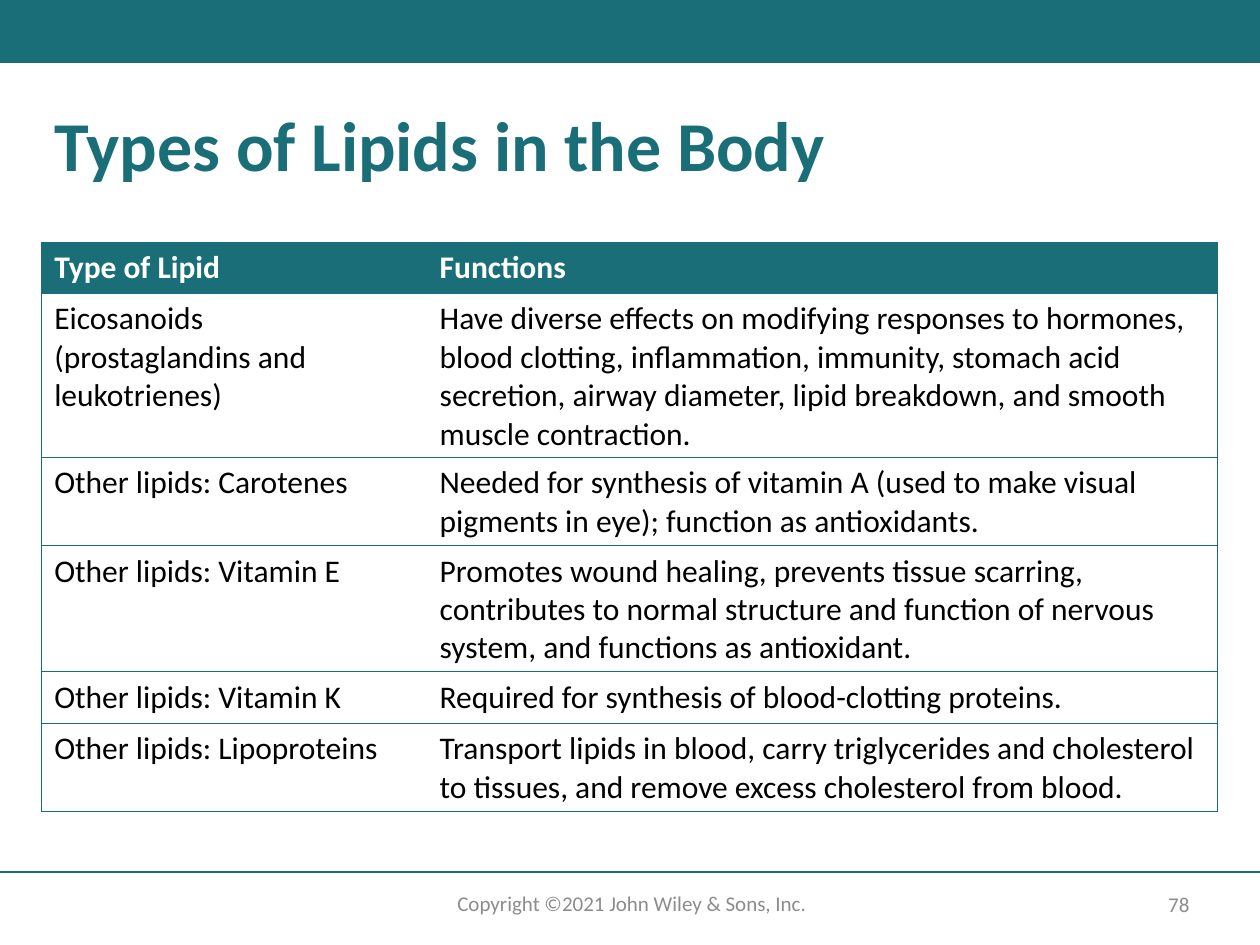
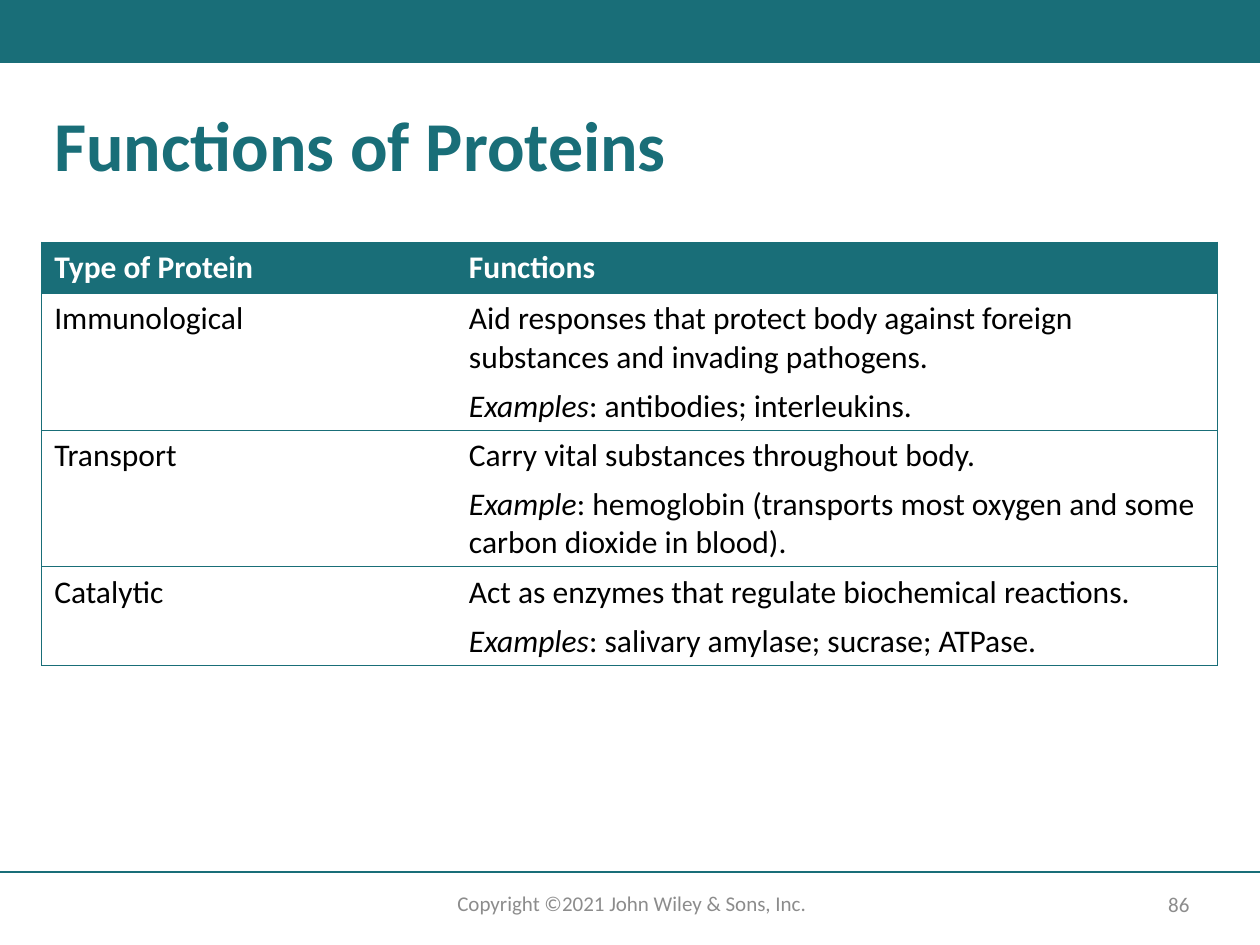
from lxml import etree
from pptx import Presentation
from pptx.dml.color import RGBColor
from pptx.enum import shapes, text
from pptx.oxml import ns
from pptx.util import Cm, Pt

COLORS = {"teal": "196E78", "white": "FFFFFF", "black": "000000", "grey": "8C8C8C"}
FONT = "Calibri"
PAGE_WIDTH, PAGE_HEIGHT = Cm(25.4), Cm(19.05)
CONTENT_LEFT, CONTENT_WIDTH = Cm(0.84), Cm(23.7)
PLAIN_TABLE = "{2D5ABB26-0587-4C30-8999-92F81FD0307C}"

LIPIDS = [
    (["Type of Lipid"], ["Functions"]),
    (["Eicosanoids", "(prostaglandins and leukotrienes)"],
     ["Have diverse effects on modifying responses to hormones, blood clotting, "
      "inflammation, immunity, stomach acid secretion, airway diameter, lipid "
      "breakdown, and smooth muscle contraction."]),
    (["Other lipids: Carotenes"],
     ["Needed for synthesis of vitamin A (used to make visual pigments in eye); "
      "function as antioxidants."]),
    (["Other lipids: Vitamin E"],
     ["Promotes wound healing, prevents tissue scarring, contributes to normal "
      "structure and function of nervous system, and functions as antioxidant."]),
    (["Other lipids: Vitamin K"],
     ["Required for synthesis of blood-clotting proteins."]),
    (["Other lipids: Lipoproteins"],
     ["Transport lipids in blood, carry triglycerides and cholesterol to tissues, "
      "and remove excess cholesterol from blood."]),
]

# Asterisks enclose italic words
PROTEINS = [
    (["Type of Protein"], ["Functions"]),
    (["Immunological"],
     ["Aid responses that protect body against foreign substances and invading pathogens.",
      "*Examples*: antibodies; interleukins."]),
    (["Transport"],
     ["Carry vital substances throughout body.",
      "*Example*: hemoglobin (transports most oxygen and some carbon dioxide in blood)."]),
    (["Catalytic"],
     ["Act as enzymes that regulate biochemical reactions.",
      "*Examples*: salivary amylase; sucrase; ATPase."]),
]


def rgb(name):
    return RGBColor.from_string(COLORS[name])


def write(frame, lines, size=18, color="black", bold=False, align="LEFT",
          anchor="TOP", line_spacing=None, space_after=0):
    """Fill a text frame or a cell's text frame with formatted paragraphs."""
    frame.word_wrap = True
    frame.vertical_anchor = getattr(text.MSO_ANCHOR, anchor)
    for i, line in enumerate(lines):
        paragraph = frame.add_paragraph() if i else frame.paragraphs[0]
        paragraph.alignment = getattr(text.PP_ALIGN, align)
        paragraph.space_after = Pt(space_after)
        if line_spacing:
            paragraph.line_spacing = line_spacing
        for j, part in enumerate(line.split("*")):
            if part:
                run = paragraph.add_run()
                run.text = part
                run.font.name, run.font.size = FONT, Pt(size)
                run.font.bold, run.font.italic = bold, j % 2 == 1
                run.font.color.rgb = rgb(color)


def add_band(slide):
    band = slide.shapes.add_shape(shapes.MSO_SHAPE.RECTANGLE, 0, 0, PAGE_WIDTH, Cm(1.27))
    band.shadow.inherit = False
    band.fill.solid()
    band.fill.fore_color.rgb = rgb("teal")
    band.line.fill.background()


def add_footer(slide, page):
    rule_y = Cm(17.58)
    rule = slide.shapes.add_connector(shapes.MSO_CONNECTOR.STRAIGHT,
                                      0, rule_y, PAGE_WIDTH, rule_y)
    rule.line.color.rgb = rgb("teal")
    rule.line.width = Pt(1)
    etree.SubElement(rule._element.spPr, ns.qn("a:effectLst"))

    notice = slide.shapes.add_textbox(Cm(8.18), Cm(17.83), Cm(9.12), Cm(0.76))
    write(notice.text_frame, ["Copyright ©2021 John Wiley & Sons, Inc."],
          size=12, color="grey", align="CENTER")
    number = slide.shapes.add_textbox(Cm(22.99), Cm(17.88), Cm(1.55), Cm(0.71))
    write(number.text_frame, [str(page)], size=12, color="grey",
          align="CENTER", anchor="MIDDLE")


def add_title(slide, heading):
    title = slide.shapes.title
    title.left, title.top = CONTENT_LEFT, Cm(2.11)
    title.width, title.height = CONTENT_WIDTH, Cm(2.34)
    title.text_frame.auto_size = text.MSO_AUTO_SIZE.NONE
    write(title.text_frame, [heading], size=40, color="teal", bold=True, line_spacing=0.9)


def set_borders(cell, sides):
    """Draw thin teal lines on the given sides, in the order L, R, T, B."""
    properties = cell._tc.get_or_add_tcPr()
    for side in sides:
        line = etree.SubElement(properties, ns.qn(f"a:ln{side}"), w=str(Pt(0.5)))
        fill = etree.SubElement(line, ns.qn("a:solidFill"))
        etree.SubElement(fill, ns.qn("a:srgbClr"), val=COLORS["teal"])


def add_function_table(slide, rows, type_width, space_after):
    row_height = Cm(1.04)
    table = slide.shapes.add_table(len(rows), 2, CONTENT_LEFT, Cm(4.88),
                                   CONTENT_WIDTH, row_height * len(rows)).table
    table._tbl.tblPr.find(ns.qn("a:tableStyleId")).text = PLAIN_TABLE
    table.horz_banding = False
    table.columns[0].width = type_width
    table.columns[1].width = CONTENT_WIDTH - type_width
    for r, row in enumerate(rows):
        header = r == 0
        table.rows[r].height = row_height
        for c, lines in enumerate(row):
            cell = table.cell(r, c)
            set_borders(cell, ("LTB", "RTB")[c])
            cell.fill.solid()
            cell.fill.fore_color.rgb = rgb("teal" if header else "white")
            write(cell.text_frame, lines, color="white" if header else "black",
                  bold=header, space_after=0 if header else space_after)


def add_page(deck, heading, page, rows, type_width, space_after=0):
    slide = deck.slides.add_slide(deck.slide_layouts.get_by_name("Title Only"))
    add_band(slide)
    add_footer(slide, page)
    add_title(slide, heading)
    add_function_table(slide, rows, type_width, space_after)


def main():
    deck = Presentation()
    deck.slide_width, deck.slide_height = PAGE_WIDTH, PAGE_HEIGHT
    add_page(deck, "Types of Lipids in the Body", 78, LIPIDS, Cm(7.77))
    add_page(deck, "Functions of Proteins", 86, PROTEINS, Cm(8.36), space_after=6)
    deck.save("out.pptx")


if __name__ == "__main__":
    main()
